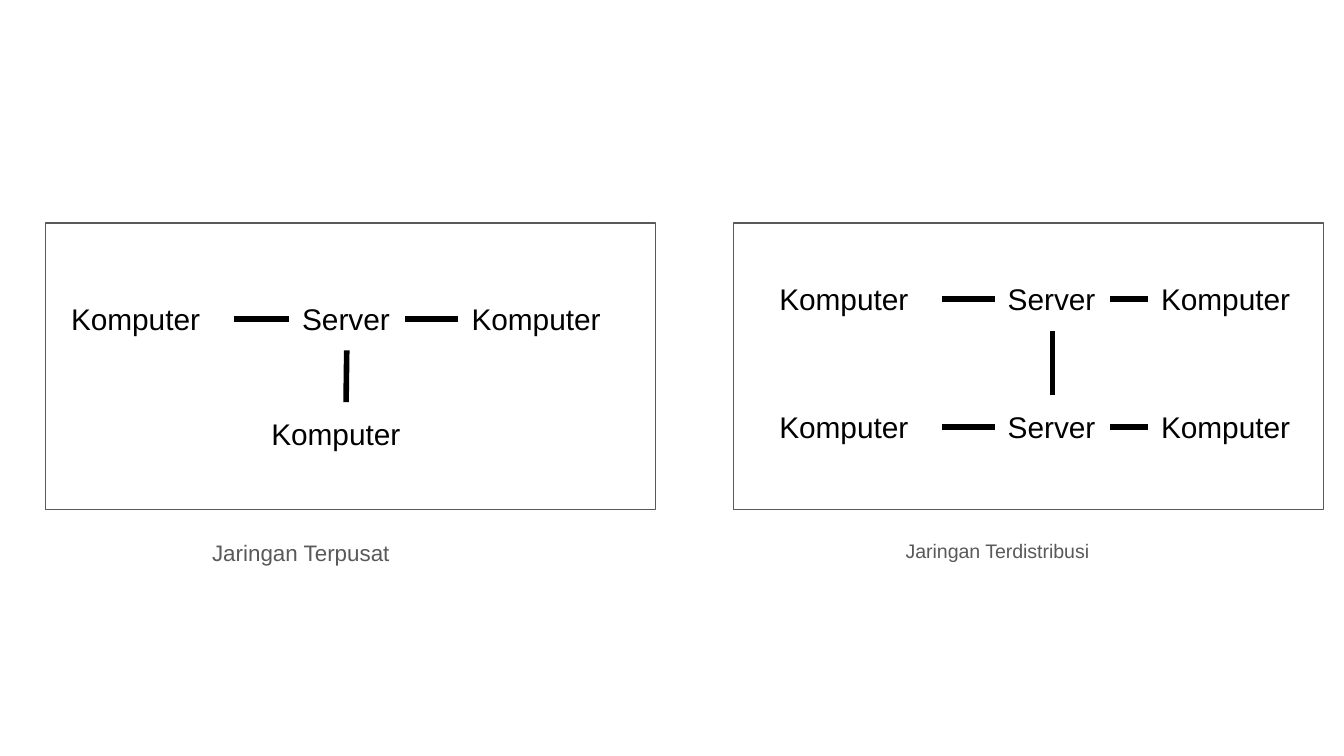
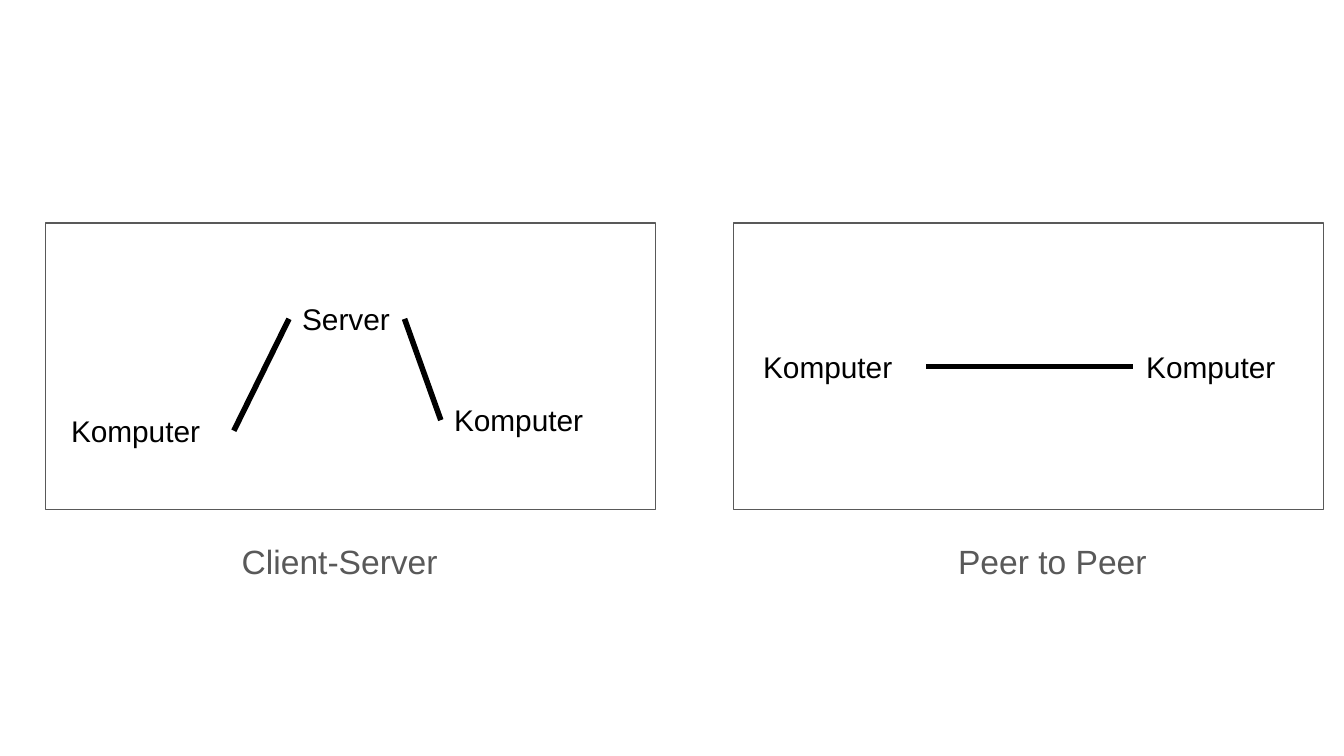
from pptx import Presentation
from pptx.dml.color import RGBColor
from pptx.enum.shapes import MSO_CONNECTOR, MSO_SHAPE
from pptx.enum.text import MSO_AUTO_SIZE
from pptx.oxml.ns import qn
from pptx.util import Inches, Pt
from lxml.etree import SubElement

WHITE, BLACK, GREY = "FFFFFF", "000000", "595959"
FONT = "Arial"
WIDTHS = {"Komputer": 13.1, "Server": 8.6}
TOP, LEFT, BOTTOM, RIGHT = range(4)  # connection sites of a rectangle

prs = Presentation()
prs.slide_width, prs.slide_height = Inches(10), Inches(5.625)
COL, ROW = prs.slide_width / 100, prs.slide_height / 100


def rgb(hex_string):
    return RGBColor.from_string(hex_string)


def add_text(shapes, text, x, y, w, h, size, color):
    """Add a one-paragraph text box, placed in hundredths of the slide."""
    box = shapes.add_textbox(int(x * COL), int(y * ROW), int(w * COL), int(h * ROW))
    tf = box.text_frame
    tf.word_wrap = True
    tf.margin_left = tf.margin_top = tf.margin_right = tf.margin_bottom = Inches(0.1)
    p = tf.paragraphs[0]
    p.text = text
    p.font.name, p.font.size, p.font.color.rgb = FONT, Pt(size), rgb(color)
    return box


# Panels: left and width, in hundredths of the slide width
LEFT_PANEL, RIGHT_PANEL = (3.4, 45.4), (54.6, 43.9)

# Each diagram: panel, caption (text, left, width, size),
# nodes (name, left, top), links (node, site, node, site)
slides = [
    [
        (LEFT_PANEL, ("Jaringan Terpusat", 14.8, 22.7, 12),
         [("Komputer", 4.3, 38), ("Server", 21.5, 38), ("Komputer", 34.1, 38),
          ("Komputer", 19.2, 53.2)],
         [(0, RIGHT, 1, LEFT), (2, LEFT, 1, RIGHT), (3, TOP, 1, BOTTOM)]),
        (RIGHT_PANEL, ("Jaringan Terdistribusi", 66.4, 25, 10.5),
         [(name, x, y) for y in (35.4, 52.3)
          for name, x in (("Komputer", 57), ("Server", 74), ("Komputer", 85.4))],
         [(1, LEFT, 0, RIGHT), (2, LEFT, 1, RIGHT), (4, TOP, 1, BOTTOM),
          (4, LEFT, 3, RIGHT), (5, LEFT, 4, RIGHT)]),
    ],
    [
        (LEFT_PANEL, ("Client-Server", 17, 18.2, 18),
         [("Komputer", 4.3, 52.8), ("Server", 21.5, 38), ("Komputer", 32.8, 51.4)],
         [(0, RIGHT, 1, LEFT), (2, LEFT, 1, RIGHT)]),
        (RIGHT_PANEL, ("Peer to Peer", 70.3, 21.1, 18),
         [("Komputer", 55.8, 44.3), ("Komputer", 84.3, 44.3)],
         [(1, LEFT, 0, RIGHT)]),
    ],
]

for diagrams in slides:
    s = prs.slides.add_slide(prs.slide_layouts[6])
    s.background.fill.solid()
    s.background.fill.fore_color.rgb = rgb(WHITE)

    for (left, width), (caption, cap_x, cap_w, cap_size), nodes, links in diagrams:
        group = s.shapes.add_group_shape().shapes
        panel = group.add_shape(MSO_SHAPE.RECTANGLE, int(left * COL), int(29.5 * ROW),
                                int(width * COL), int(37.9 * ROW))
        panel.shadow.inherit = False
        panel.fill.solid()
        panel.fill.fore_color.rgb = rgb(WHITE)
        panel.line.color.rgb, panel.line.width = rgb(GREY), Pt(0.75)

        boxes = []
        for name, x, y in nodes:
            box = add_text(group, name, x, y, WIDTHS[name], 8.36, 16, BLACK)
            box.text_frame.auto_size = MSO_AUTO_SIZE.SHAPE_TO_FIT_TEXT
            boxes.append(box)

        for start, start_site, end, end_site in links:
            a, b = boxes[start], boxes[end]
            link = group.add_connector(MSO_CONNECTOR.STRAIGHT, a.left, a.top, b.left, b.top)
            link.begin_connect(a, start_site)
            link.end_connect(b, end_site)
            link.line.color.rgb, link.line.width = rgb(BLACK), Pt(3)
            SubElement(link._element.spPr, qn("a:effectLst"))

        p = add_text(s.shapes, caption, cap_x, 69, cap_w, 8.9, cap_size,
                     GREY).text_frame.paragraphs[0]
        p.line_spacing, p.space_after = 1.15, Pt(12)

prs.save("out.pptx")
